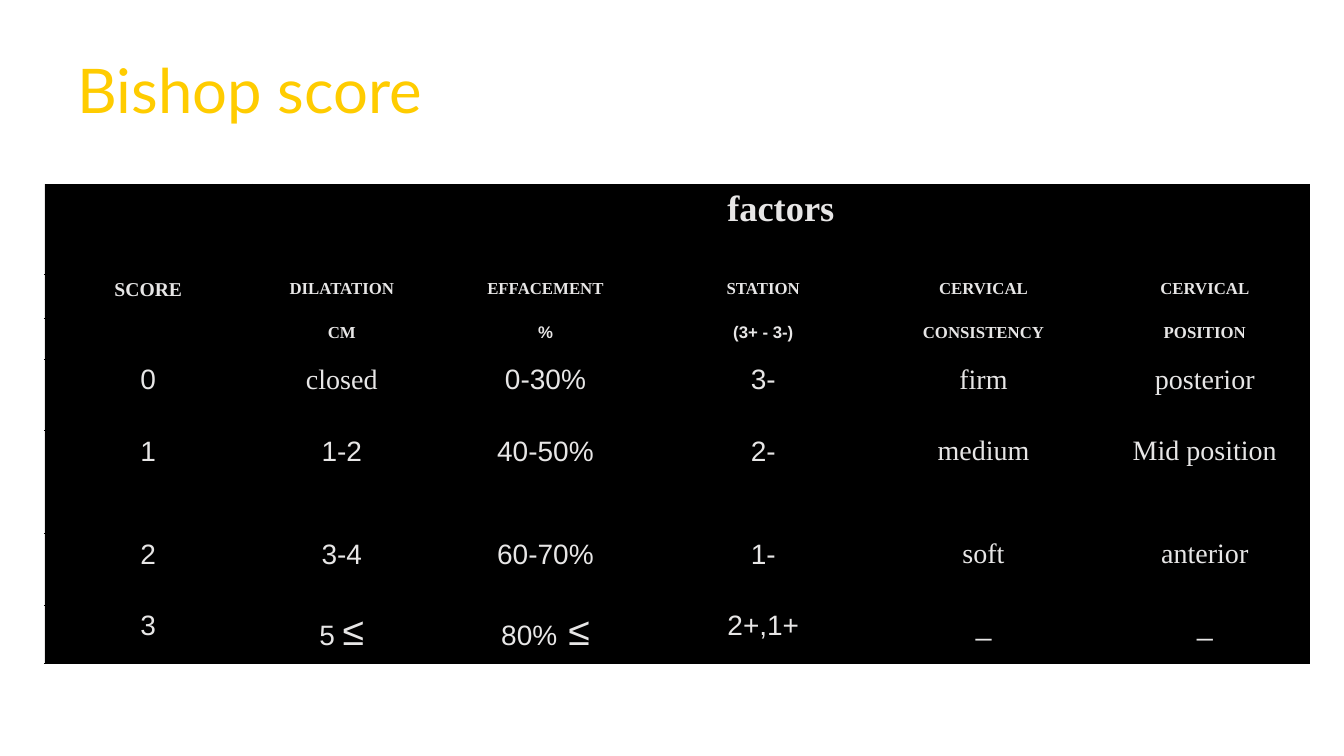
"""Build the Bishop score slide: a title above a right-to-left scoring table."""
from dataclasses import dataclass
from typing import Any

from lxml import etree
from pptx import Presentation
from pptx import util as u
from pptx.dml.color import RGBColor
from pptx.enum import text
from pptx.oxml import ns

EMU_PER_PX = 9144
BLACK = RGBColor(0x00, 0x00, 0x00)
PALE_GREY = RGBColor(0xE7, 0xE6, 0xE6)
GOLD = RGBColor(0xFF, 0xCC, 0x00)

COLUMN_WIDTHS = (206, 178, 226, 206, 231, 208)
TITLE_BOX = {"left": 67, "top": 30, "width": 1200, "height": 125}
TABLE_BOX = (44, 183, sum(COLUMN_WIDTHS), 475)
CELL_MARGINS = {"margin_left": 13, "margin_right": 13, "margin_top": 5, "margin_bottom": 5}
HANGING_INDENT = 38


@dataclass(frozen=True)
class Piece:
    """A stretch of cell text with its own size."""
    wording: str
    size: int


@dataclass(frozen=True)
class ScoreRow:
    """One table row: its height, type style and cell contents."""
    height: int
    size: int
    bold: bool
    cells: tuple[str | tuple[Piece, ...], ...]


HEADING_SCORE = (Piece("SCORE", 14),)
FIVE_OR_MORE = (Piece("≥", 28), Piece(" 5", 20))
EIGHTY_OR_MORE = (Piece("≥ ", 28), Piece("80%", 20))
ROWS = (
    ScoreRow(89, 26, True, ("", "factors", "", "", "", "")),
    ScoreRow(44, 12, True, (HEADING_SCORE, "DILATATION", "EFFACEMENT", "STATION", "CERVICAL", "CERVICAL")),
    ScoreRow(40, 12, True, ("", "CM", "%", "(-3 - +3)", "CONSISTENCY", "POSITION")),
    ScoreRow(71, 20, False, ("0", "closed", "0-30%", "-3", "firm", "posterior")),
    ScoreRow(102, 20, False, ("1", "1-2", "40-50%", "-2", "medium", "Mid position")),
    ScoreRow(71, 20, False, ("2", "3-4", "60-70%", "-1", "soft", "anterior")),
    ScoreRow(58, 20, False, ("3", FIVE_OR_MORE, EIGHTY_OR_MORE, "+1,+2", "_", "_")),
)


def px(length: int) -> u.Emu:
    """Turn px into EMU."""
    return u.Emu(length * EMU_PER_PX)


def apply_format(target: Any, values: dict[str, Any]) -> None:
    """Set each named attribute on the target."""
    for name, value in values.items():
        setattr(target, name, value)


def add_border(cell: Any, side: str, color: RGBColor) -> None:
    """Draw a one-point border on one side of a cell."""
    properties = cell._tc.get_or_add_tcPr()
    line = etree.SubElement(properties, ns.qn(f"a:ln{side}"), w=str(u.Pt(1)))
    fill = etree.SubElement(line, ns.qn("a:solidFill"))
    etree.SubElement(fill, ns.qn("a:srgbClr"), val=str(color))


def style_cell(cell: Any, left_color: RGBColor) -> None:
    """Give a cell its margins, borders and black fill."""
    apply_format(cell, {name: px(value) for name, value in CELL_MARGINS.items()})
    for side in "LRTB":
        add_border(cell, side, left_color if side == "L" else BLACK)
    cell.fill.solid()
    cell.fill.fore_color.rgb = BLACK


def write_cell(cell: Any, pieces: tuple[Piece, ...], bold: bool) -> None:
    """Write centred right-to-left text into a cell."""
    paragraph = cell.text_frame.paragraphs[0]
    paragraph.alignment = text.PP_ALIGN.CENTER
    properties = paragraph._p.get_or_add_pPr()
    for name, value in {"marL": px(HANGING_INDENT), "indent": px(-HANGING_INDENT), "rtl": 1}.items():
        properties.set(name, str(int(value)))
    for piece in pieces:
        run = paragraph.add_run()
        run.text = piece.wording
        apply_format(run.font, {"name": "Times New Roman", "size": u.Pt(piece.size), "bold": bold})
        run.font.color.rgb = PALE_GREY
        etree.SubElement(run.font._element, ns.qn("a:cs"), typeface="Arial")


def add_title(slide: Any) -> None:
    """Fill the title placeholder."""
    title = slide.shapes.title
    apply_format(title, {name: px(value) for name, value in TITLE_BOX.items()})
    title.text_frame.text = "Bishop score"
    title.text_frame.vertical_anchor = text.MSO_ANCHOR.MIDDLE
    paragraph = title.text_frame.paragraphs[0]
    apply_format(paragraph, {"alignment": text.PP_ALIGN.LEFT, "line_spacing": 0.9})
    font = paragraph.runs[0].font
    apply_format(font, {"name": "Lato", "size": u.Pt(44)})
    font.color.rgb = GOLD


def add_score_table(slide: Any) -> None:
    """Add the scoring table."""
    frame = slide.shapes.add_table(len(ROWS), len(COLUMN_WIDTHS), *map(px, TABLE_BOX))
    table = frame.table
    apply_format(table, {"first_row": False, "horz_banding": False})
    for column, width in zip(table.columns, COLUMN_WIDTHS):
        column.width = px(width)
    for row_index, score_row in enumerate(ROWS):
        table.rows[row_index].height = px(score_row.height)
        for column_index, content in enumerate(score_row.cells):
            cell = table.cell(row_index, column_index)
            style_cell(cell, BLACK if column_index else PALE_GREY)
            pieces = (Piece(content, score_row.size),) if isinstance(content, str) else content
            if content:
                write_cell(cell, pieces, score_row.bold)
    table.cell(0, 1).merge(table.cell(0, len(COLUMN_WIDTHS) - 1))


def main() -> None:
    """Build and save the presentation."""
    presentation = Presentation()
    apply_format(presentation, {"slide_width": px(1333), "slide_height": px(750)})
    slide = presentation.slides.add_slide(presentation.slide_layouts.get_by_name("Title Only"))
    add_title(slide)
    add_score_table(slide)
    presentation.save("out.pptx")


if __name__ == "__main__":
    main()
